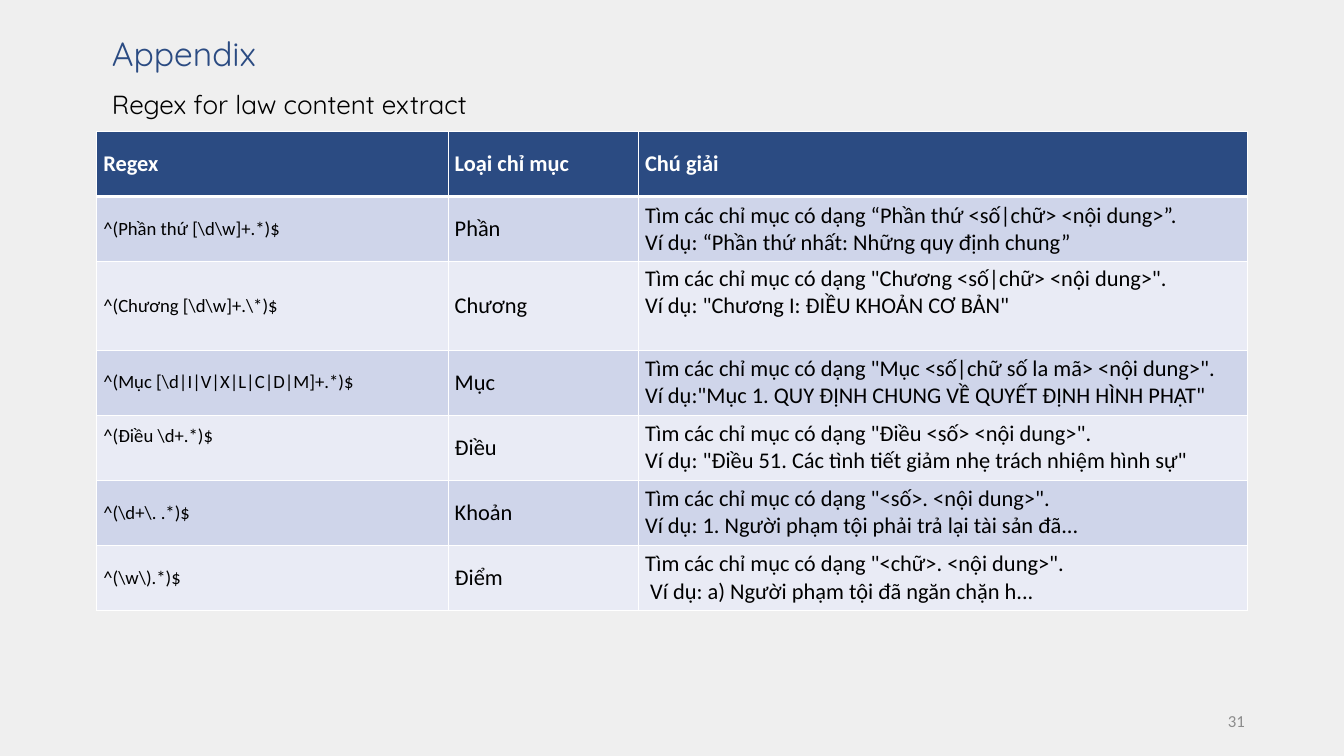
from typing import NamedTuple

from lxml.etree import SubElement
from pptx import Presentation
from pptx.dml.color import RGBColor
from pptx.enum.text import MSO_ANCHOR as Anchor, MSO_AUTO_SIZE as AutoSize, PP_ALIGN as Align
from pptx.oxml.ns import qn
from pptx.util import Pt

PX = 9525  # EMU per px, 96 px to the inch
COLORS = {
    "background": "EFEFEF",
    "navy": "2B4B82",
    "black": "000000",
    "white": "FFFFFF",
    "grey": "8C8C8C",
    "band_dark": "CFD5EA",
    "band_light": "E9EBF5",
}


class Box(NamedTuple):
    left: int
    top: int
    width: int
    height: int


class TextStyle(NamedTuple):
    font: str
    size: int
    color: str
    bold: bool = False
    line_pt: float | None = None
    align: Align = Align.LEFT


class Pattern(NamedTuple):
    regex: str
    index_type: str
    note: str
    height: int = 93
    regex_top: int | None = None  # top margin of a regex set above the middle
    note_anchor: Anchor = Anchor.MIDDLE


HEADING = TextStyle("Quicksand", 36, "navy", line_pt=50.4)
SUBHEADING = TextStyle("Quicksand", 28, "black", line_pt=50.4)
PAGE_NUMBER = TextStyle("Calibri", 18, "grey", align=Align.RIGHT)
HEADER = TextStyle("Calibri", 24, "white", bold=True)
REGEX = TextStyle("Calibri", 20, "black")
BODY = TextStyle("Calibri", 24, "black")

COLUMN_WIDTHS = (502, 272, 870)
HEADER_HEIGHT = 93
COLUMN_NAMES = ("Regex", "Loại chỉ mục", "Chú giải")
PATTERNS = (
    Pattern(r"^(Phần thứ [\d\w]+.*)$", "Phần",
            "Tìm các chỉ mục có dạng “Phần thứ <số|chữ> <nội dung>”.\n"
            "Ví dụ: “Phần thứ nhất: Những quy định chung”"),
    Pattern(r"^(Chương [\d\w]+.\*)$", "Chương",
            'Tìm các chỉ mục có dạng "Chương <số|chữ> <nội dung>".\n'
            'Ví dụ: "Chương I: ĐIỀU KHOẢN CƠ BẢN"',
            height=126, note_anchor=Anchor.TOP),
    Pattern(r"^(Mục [\d|I|V|X|L|C|D|M]+.*)$", "Mục",
            'Tìm các chỉ mục có dạng "Mục <số|chữ số la mã> <nội dung>".\n'
            'Ví dụ:"Mục 1. QUY ĐỊNH CHUNG VỀ QUYẾT ĐỊNH HÌNH PHẠT"'),
    Pattern(r"^(Điều \d+.*)$", "Điều",
            'Tìm các chỉ mục có dạng "Điều <số> <nội dung>".\n'
            'Ví dụ: "Điều 51. Các tình tiết giảm nhẹ trách nhiệm hình sự"',
            regex_top=14),
    Pattern(r"^(\d+\. .*)$", "Khoản",
            'Tìm các chỉ mục có dạng "<số>. <nội dung>".\n'
            "Ví dụ: 1. Người phạm tội phải trả lại tài sản đã..."),
    Pattern(r"^(\w\).*)$", "Điểm",
            'Tìm các chỉ mục có dạng "<chữ>. <nội dung>".\n'
            " Ví dụ: a) Người phạm tội đã ngăn chặn h..."),
)


def rgb(name: str) -> RGBColor:
    return RGBColor.from_string(COLORS[name])


def write(frame, text: str, style: TextStyle) -> None:
    frame.text = text
    for paragraph in frame.paragraphs:
        paragraph.alignment = style.align
        if style.line_pt:
            paragraph.line_spacing = Pt(style.line_pt)
        font = paragraph.font
        font.name, font.size, font.bold = style.font, Pt(style.size), style.bold
        font.color.rgb = rgb(style.color)


def place_text(shape, box: Box, text: str, style: TextStyle,
               anchor: Anchor = Anchor.TOP, inset: bool = False) -> None:
    shape.left, shape.top, shape.width, shape.height = (n * PX for n in box)
    frame = shape.text_frame
    frame.word_wrap = True
    frame.auto_size = AutoSize.NONE
    frame.vertical_anchor = anchor
    if not inset:
        frame.margin_left = frame.margin_right = frame.margin_top = frame.margin_bottom = 0
    write(frame, text, style)


def add_borders(cell, top_pt: int, bottom_pt: int) -> None:
    properties = cell._tc.get_or_add_tcPr()
    for side, width in (("L", 1), ("R", 1), ("T", top_pt), ("B", bottom_pt)):
        line = SubElement(properties, qn(f"a:ln{side}"), w=str(Pt(width)))
        fill = SubElement(line, qn("a:solidFill"))
        SubElement(fill, qn("a:srgbClr"), val=COLORS["white"])


def fill_cell(cell, text: str, style: TextStyle, fill: str,
              top_pt: int = 1, bottom_pt: int = 1) -> None:
    add_borders(cell, top_pt, bottom_pt)
    cell.fill.solid()
    cell.fill.fore_color.rgb = rgb(fill)
    cell.vertical_anchor = Anchor.MIDDLE
    write(cell.text_frame, text, style)


def add_pattern_table(slide, left: int, top: int) -> None:
    heights = [HEADER_HEIGHT, *(pattern.height for pattern in PATTERNS)]
    table = slide.shapes.add_table(
        len(heights), len(COLUMN_WIDTHS), left * PX, top * PX,
        sum(COLUMN_WIDTHS) * PX, sum(heights) * PX).table
    for column, width in zip(table.columns, COLUMN_WIDTHS):
        column.width = width * PX
    for row, height in zip(table.rows, heights):
        row.height = height * PX

    for col, name in enumerate(COLUMN_NAMES):
        fill_cell(table.cell(0, col), name, HEADER, "navy", bottom_pt=3)

    for row, pattern in enumerate(PATTERNS, start=1):
        band = "band_dark" if row % 2 else "band_light"
        texts = (pattern.regex, pattern.index_type, pattern.note)
        for col, (text, style) in enumerate(zip(texts, (REGEX, BODY, BODY))):
            fill_cell(table.cell(row, col), text, style, band, top_pt=3 if row == 1 else 1)
        table.cell(row, 2).vertical_anchor = pattern.note_anchor
        if pattern.regex_top is not None:
            regex_cell = table.cell(row, 0)
            regex_cell.vertical_anchor = Anchor.TOP
            regex_cell.margin_top = pattern.regex_top * PX


def main() -> None:
    deck = Presentation()
    deck.slide_width, deck.slide_height = 1920 * PX, 1080 * PX
    slide = deck.slides.add_slide(deck.slide_layouts[5])
    slide.background.fill.solid()
    slide.background.fill.fore_color.rgb = rgb("background")

    # Page number
    page_number = slide.shapes.add_textbox(0, 0, 0, 0)
    place_text(page_number, Box(1356, 1001, 432, 58), "31", PAGE_NUMBER, Anchor.MIDDLE, inset=True)

    # Title and subtitle
    place_text(slide.shapes.title, Box(160, 38, 732, 65), "Appendix", HEADING)
    subtitle = slide.shapes.add_textbox(0, 0, 0, 0)
    place_text(subtitle, Box(160, 104, 732, 61), "Regex for law content extract", SUBHEADING)

    # Regex table
    add_pattern_table(slide, 138, 188)

    deck.save("out.pptx")


if __name__ == "__main__":
    main()
